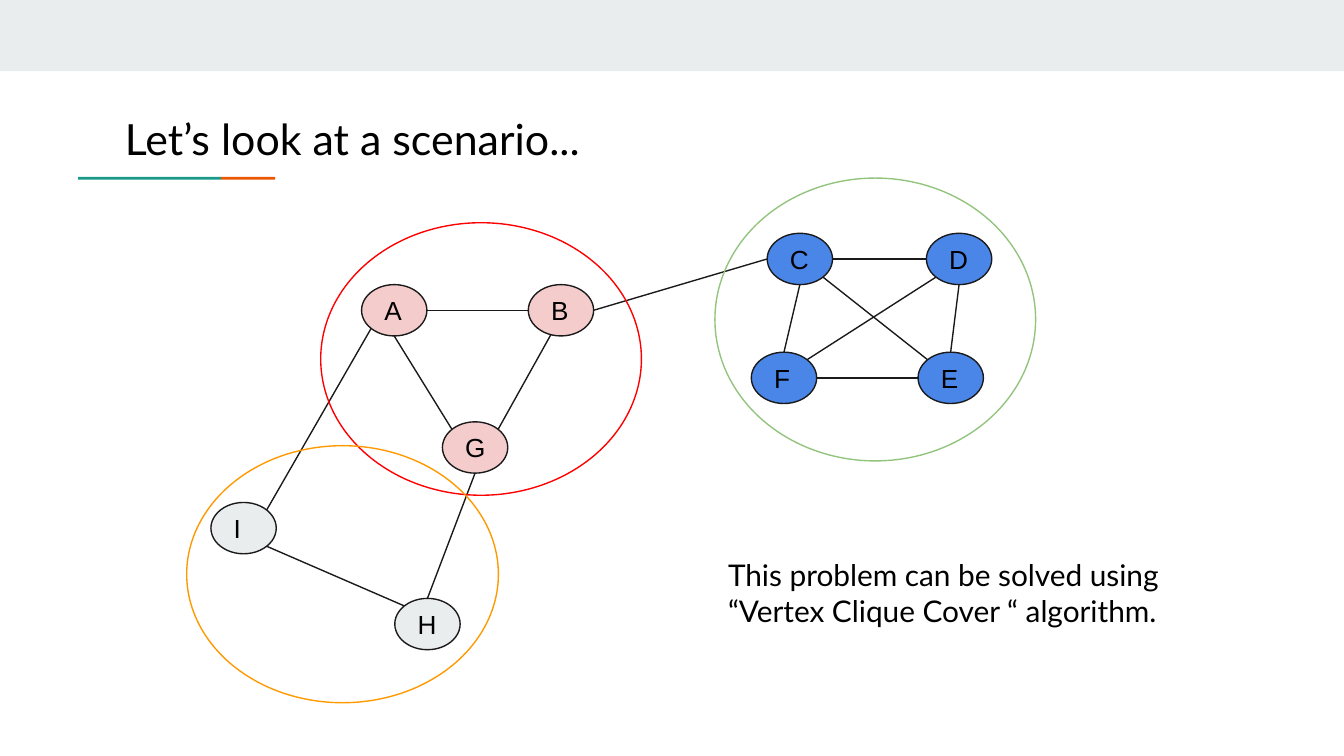
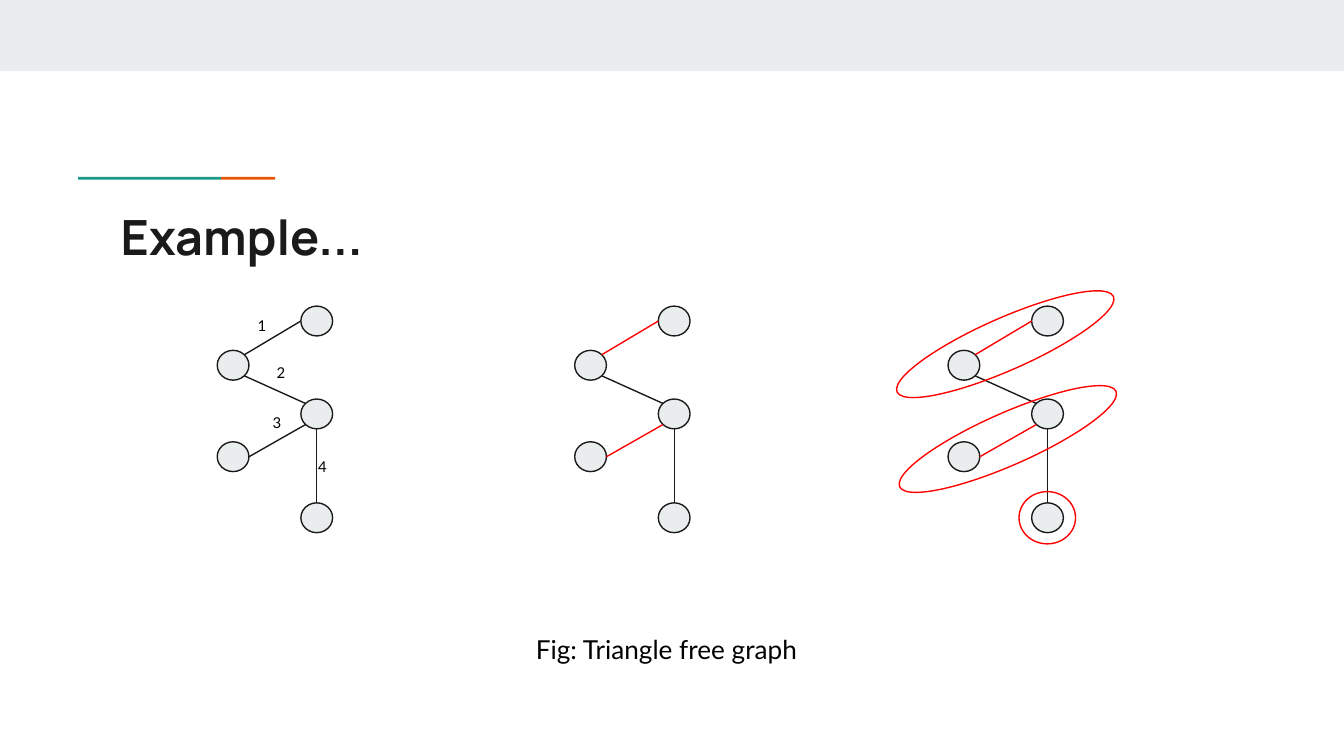
from dataclasses import dataclass
from math import cos, radians, sin

from lxml.etree import SubElement
from pptx import Presentation
from pptx.dml.color import RGBColor
from pptx.enum.shapes import MSO_CONNECTOR, MSO_SHAPE
from pptx.enum.text import MSO_ANCHOR, PP_ALIGN
from pptx.oxml.ns import qn
from pptx.shapes.autoshape import Shape
from pptx.slide import Slide
from pptx.text.text import TextFrame
from pptx.util import Pt

COLORS = {
    "band": "E9EDEE",
    "teal": "1A9988",
    "rust": "EB5600",
    "ink": "1A1A1A",
    "black": "000000",
    "pink": "F4CCCC",
    "blue": "4A86E8",
    "red": "FF0000",
    "orange": "FF9900",
    "green": "93C47D",
}
INSET = 7.2
STROKE = 0.75


@dataclass(frozen=True)
class Box:
    left: float
    top: float
    width: float
    height: float

    def rim(self, angle: float) -> tuple[float, float]:
        """Point on the inscribed ellipse, in degrees clockwise from the right."""
        turn = radians(angle)
        return (
            self.left + self.width / 2 * (1 + cos(turn)),
            self.top + self.height / 2 * (1 + sin(turn)),
        )


@dataclass(frozen=True)
class Node:
    box: Box
    fill: str = "band"
    label: str = ""


@dataclass(frozen=True)
class Edge:
    start: str
    start_angle: float
    end: str
    end_angle: float
    color: str = "ink"


@dataclass(frozen=True)
class Clique:
    box: Box
    color: str = "red"
    rotation: float = 0


@dataclass(frozen=True)
class Caption:
    text: str
    box: Box
    size: float
    font: str = "Lato"
    color: str = "black"
    bold: bool = False


def rgb(name: str) -> RGBColor:
    return RGBColor.from_string(COLORS[name])


def write(frame: TextFrame, caption: Caption) -> None:
    frame.word_wrap = True
    frame.margin_left = frame.margin_right = Pt(INSET)
    frame.margin_top = frame.margin_bottom = Pt(INSET)
    frame.text = caption.text
    paragraph = frame.paragraphs[0]
    paragraph.alignment = PP_ALIGN.LEFT
    font = paragraph.runs[0].font
    font.name = caption.font
    font.size = Pt(caption.size)
    font.bold = caption.bold
    font.color.rgb = rgb(caption.color)


def add_caption(slide: Slide, caption: Caption) -> None:
    box = caption.box
    holder = slide.shapes.add_textbox(
        Pt(box.left), Pt(box.top), Pt(box.width), Pt(box.height)
    )
    write(holder.text_frame, caption)


def add_figure(
    slide: Slide, kind: MSO_SHAPE, box: Box, fill: str = "", line: str = ""
) -> Shape:
    """Add a preset shape; an empty colour name means no fill or no line."""
    figure = slide.shapes.add_shape(
        kind, Pt(box.left), Pt(box.top), Pt(box.width), Pt(box.height)
    )
    figure.shadow.inherit = False
    if fill:
        figure.fill.solid()
        figure.fill.fore_color.rgb = rgb(fill)
    else:
        figure.fill.background()
    if line:
        figure.line.color.rgb = rgb(line)
        figure.line.width = Pt(STROKE)
    else:
        figure.line.fill.background()
    return figure


def add_node(slide: Slide, node: Node) -> None:
    oval = add_figure(slide, MSO_SHAPE.OVAL, node.box, node.fill, "ink")
    if node.label:
        write(oval.text_frame, Caption(node.label, node.box, 14, "Arial"))
        oval.text_frame.vertical_anchor = MSO_ANCHOR.MIDDLE


def add_edge(slide: Slide, edge: Edge, nodes: dict[str, Node]) -> None:
    x1, y1 = nodes[edge.start].box.rim(edge.start_angle)
    x2, y2 = nodes[edge.end].box.rim(edge.end_angle)
    link = slide.shapes.add_connector(
        MSO_CONNECTOR.STRAIGHT, Pt(x1), Pt(y1), Pt(x2), Pt(y2)
    )
    link.line.color.rgb = rgb(edge.color)
    link.line.width = Pt(STROKE)
    SubElement(link._element.spPr, qn("a:effectLst"))


def add_graph(slide: Slide, nodes: dict[str, Node], edges: list[Edge]) -> None:
    for node in nodes.values():
        add_node(slide, node)
    for edge in edges:
        add_edge(slide, edge, nodes)


def add_clique(slide: Slide, clique: Clique) -> None:
    ring = add_figure(slide, MSO_SHAPE.OVAL, clique.box, line=clique.color)
    ring.rotation = clique.rotation


def add_base_slide(deck: Presentation) -> Slide:
    """Add a blank slide with the top band and the two-colour rule."""
    slide = deck.slides.add_slide(deck.slide_layouts[6])
    slide.background.fill.solid()
    slide.background.fill.fore_color.rgb = RGBColor(255, 255, 255)
    for box, color in (
        (Box(0, 0, 720, 38.2), "band"),
        (Box(118.3, 94.8, 29.2, 1.5), "rust"),
        (Box(41.8, 94.8, 76.5, 1.5), "teal"),
    ):
        add_figure(slide, MSO_SHAPE.RECTANGLE, box, color)
    return slide


SCENARIO_NODES = {
    label: Node(Box(left, top, 35, 27.5), fill, label)
    for label, left, top, fill in (
        ("A", 193.7, 152.5, "pink"),
        ("B", 283, 152.5, "pink"),
        ("G", 237, 226, "pink"),
        ("I", 113, 269.2, "band"),
        ("H", 211.5, 320.6, "band"),
        ("C", 411, 125, "blue"),
        ("F", 402.5, 188.7, "blue"),
        ("E", 491.8, 188.7, "blue"),
        ("D", 496.3, 125, "blue"),
    )
}
SCENARIO_EDGES = [
    Edge("A", 0, "B", 180),
    Edge("G", 315, "B", 108),
    Edge("A", 90, "G", 225),
    Edge("I", 315, "A", 135),
    Edge("H", 270, "G", 90),
    Edge("I", 45, "H", 225),
    Edge("C", 180, "B", 0),
    Edge("F", 270, "C", 90),
    Edge("D", 180, "C", 0),
    Edge("F", 0, "E", 180),
    Edge("E", 270, "D", 90),
    Edge("E", 225, "C", 45),
    Edge("D", 135, "F", 315),
]
SCENARIO_CLIQUES = [
    Clique(Box(171.8, 119.3, 171.8, 146), "red"),
    Clique(Box(100, 238.8, 167, 137.7), "orange"),
    Clique(Box(383, 95.4, 171.8, 151.5), "green"),
]
SCENARIO_TITLE = Caption("Let’s look at a scenario...", Box(59.8, 53.3, 481.7, 63.4), 23)
SCENARIO_NOTE = Caption(
    "This problem can be solved using “Vertex Clique Cover “ algorithm.",
    Box(383, 290.9, 293, 100.8),
    16,
)

EXAMPLE_TITLE = Caption(
    "Example...", Box(57.6, 103.7, 605.5, 42.5), 26, "Manrope", "ink", True
)
EXAMPLE_FIGURE = Caption("Fig: Triangle free graph", Box(280, 332, 160.6, 33), 14)
EXAMPLE_TOP = 164
EXAMPLE_OFFSETS = {
    "second": (0, 23.7),
    "first": (44.8, 0),
    "third": (44.8, 49.8),
    "fourth": (0, 72.7),
    "fifth": (44.8, 105.4),
}
# Left side of each graph and the colour of its matched edges
EXAMPLE_STAGES = [(116.4, "ink"), (307.9, "red"), (507.9, "red")]
EXAMPLE_CLIQUES = [
    Clique(Box(475.2, 170.4, 126.7, 28), rotation=336.2),
    Clique(Box(476.6, 221.2, 126.7, 28), rotation=336.2),
    Clique(Box(545.9, 263.4, 30.3, 28)),
]
EDGE_NUMBERS = [(131, 164.9), (141.1, 190.1), (139, 216.7), (163.4, 240.5)]


def build_scenario(deck: Presentation) -> None:
    slide = add_base_slide(deck)
    add_graph(slide, SCENARIO_NODES, SCENARIO_EDGES)
    add_caption(slide, SCENARIO_TITLE)
    for clique in SCENARIO_CLIQUES:
        add_clique(slide, clique)
    add_caption(slide, SCENARIO_NOTE)


def build_example(deck: Presentation) -> None:
    slide = add_base_slide(deck)
    add_caption(slide, EXAMPLE_TITLE)
    for left, matched in EXAMPLE_STAGES:
        nodes = {
            name: Node(Box(left + dx, EXAMPLE_TOP + dy, 17, 16))
            for name, (dx, dy) in EXAMPLE_OFFSETS.items()
        }
        edges = [
            Edge("third", 90, "fifth", 270),
            Edge("third", 135, "fourth", 0, matched),
            Edge("second", 45, "third", 225),
            Edge("second", 315, "first", 180, matched),
        ]
        add_graph(slide, nodes, edges)
    for clique in EXAMPLE_CLIQUES:
        add_clique(slide, clique)
    for number, (left, top) in enumerate(EDGE_NUMBERS, start=1):
        add_caption(slide, Caption(str(number), Box(left, top, 16.6, 18), 8))
    add_caption(slide, EXAMPLE_FIGURE)


def main() -> None:
    deck = Presentation()
    deck.slide_width, deck.slide_height = Pt(720), Pt(405)
    build_scenario(deck)
    build_example(deck)
    deck.save("out.pptx")


if __name__ == "__main__":
    main()
